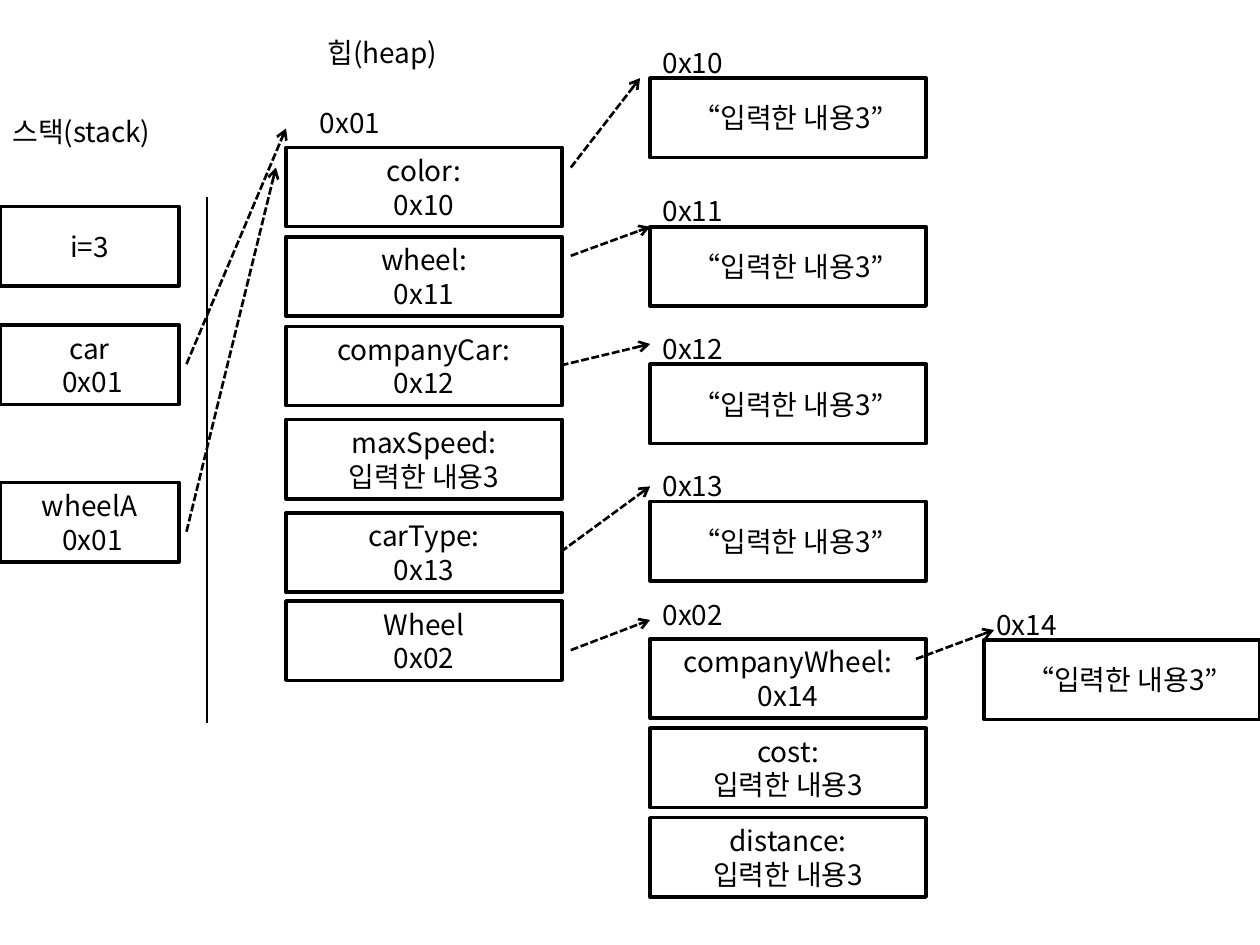
from dataclasses import dataclass

from pptx import Presentation
from pptx.dml.color import RGBColor
from pptx.enum import dml, shapes, text
from pptx.oxml import ns, xmlchemy
from pptx.util import Inches, Pt


@dataclass(frozen=True)
class Theme:
    ink: RGBColor = RGBColor(0, 0, 0)
    paper: RGBColor = RGBColor(255, 255, 255)
    font: str = "Noto Sans CJK KR"
    text_size: int = 16
    box_line: float = 2
    divider_line: float = 1.25
    arrow_line: float = 1.5


THEME = Theme()
CELL_HEIGHT = 0.63
STACK_WIDTH, HEAP_WIDTH = 1.42, 2.19
LABEL_WIDTH, LABEL_HEIGHT = 1.59, 0.37
ADDRESS_RISE = 0.31  # from the top of a string cell up to its address
INPUT = "입력한 내용3"


def write(frame, lines, alignment):
    for index, line in enumerate(lines):
        paragraph = frame.paragraphs[0] if index == 0 else frame.add_paragraph()
        paragraph.text = line
        paragraph.alignment = alignment
        font = paragraph.font
        font.size = Pt(THEME.text_size)
        font.color.rgb = THEME.ink
        font.name = THEME.font
        # Hangul takes its typeface from the East Asian slot
        east_asian = xmlchemy.OxmlElement("a:ea")
        east_asian.set("typeface", THEME.font)
        paragraph._p.pPr.find(ns.qn("a:defRPr")).append(east_asian)


def add_label(slide, left, top, caption):
    label = slide.shapes.add_textbox(
        Inches(left), Inches(top), Inches(LABEL_WIDTH), Inches(LABEL_HEIGHT))
    frame = label.text_frame
    frame.word_wrap = True
    frame.auto_size = text.MSO_AUTO_SIZE.SHAPE_TO_FIT_TEXT
    write(frame, [caption], text.PP_ALIGN.LEFT)


def add_cell(slide, left, top, width, *lines):
    cell = slide.shapes.add_shape(
        shapes.MSO_SHAPE.RECTANGLE,
        Inches(left), Inches(top), Inches(width), Inches(CELL_HEIGHT))
    cell.shadow.inherit = False
    cell.fill.solid()
    cell.fill.fore_color.rgb = THEME.paper
    cell.line.color.rgb = THEME.ink
    cell.line.width = Pt(THEME.box_line)
    cell.text_frame.word_wrap = True
    cell.text_frame.vertical_anchor = text.MSO_ANCHOR.MIDDLE
    write(cell.text_frame, lines, text.PP_ALIGN.CENTER)


def add_line(slide, start, end, width):
    line = slide.shapes.add_connector(
        shapes.MSO_CONNECTOR.STRAIGHT, *map(Inches, (*start, *end)))
    line.line.color.rgb = THEME.ink
    line.line.width = Pt(width)
    line._element.spPr.append(xmlchemy.OxmlElement("a:effectLst"))
    return line


def add_arrow(slide, start, end):
    arrow = add_line(slide, start, end, THEME.arrow_line)
    arrow.line.dash_style = dml.MSO_LINE.SQUARE_DOT
    head = xmlchemy.OxmlElement("a:tailEnd")
    head.set("type", "arrow")
    arrow.line._get_or_add_ln().append(head)


def add_stack(slide, left, top):
    """Local variables, with the divider on their right."""
    add_label(slide, left, top, "스택(stack)")
    variables = [
        (0.78, ["i=3"]),
        (1.72, ["car", " 0x01"]),
        (2.97, ["wheelA", " 0x01"]),
    ]
    for offset, lines in variables:
        add_cell(slide, left, top + offset, STACK_WIDTH, *lines)
    add_line(slide, (left + 1.64, top + 0.7), (left + 1.64, top + 4.88),
             THEME.divider_line)


def add_car(slide, left, top):
    """The car object and its fields; top is that of the first field."""
    add_label(slide, left + 0.23, top - 0.94, "힙(heap)")
    add_label(slide, left + 0.17, top - 0.38, "0x01")
    fields = [
        (0, "color:", "0x10"),
        (0.71, "wheel:", "0x11"),
        (1.42, "companyCar:", "0x12"),
        (2.16, "maxSpeed:", INPUT),
        (2.9, "carType:", "0x13"),
        (3.6, "Wheel", "0x02"),
    ]
    for offset, name, value in fields:
        add_cell(slide, left, top + offset, HEAP_WIDTH, name, value)


def add_string(slide, left, top, address):
    add_label(slide, left, top - ADDRESS_RISE, address)
    add_cell(slide, left, top, HEAP_WIDTH, f"“{INPUT}”")


def add_wheel(slide, left, top):
    """The wheel object; its fields are evenly spaced."""
    add_label(slide, left, top - 0.38, "0x02")
    fields = [("companyWheel:", "0x14"), ("cost:", INPUT), ("distance:", INPUT)]
    for row, lines in enumerate(fields):
        add_cell(slide, left, top + row * 0.71, HEAP_WIDTH, *lines)


def add_references(slide):
    references = [
        ((1.48, 2.89), (2.27, 1.02)),  # car
        ((1.48, 4.22), (2.19, 1.33)),  # wheelA
        ((4.53, 1.33), (5.08, 0.62)),  # color
        ((4.53, 2.03), (5.16, 1.8)),   # wheel
        ((4.45, 2.9), (5.16, 2.73)),   # companyCar
        ((4.45, 4.38), (5.16, 3.86)),  # carType
        ((4.53, 5.16), (5.16, 4.92)),  # Wheel
        ((7.27, 5.23), (7.89, 5)),     # companyWheel
    ]
    for start, end in references:
        add_arrow(slide, start, end)


def main():
    presentation = Presentation()
    presentation.slide_width, presentation.slide_height = Inches(10), Inches(7.5)
    slide = presentation.slides.add_slide(presentation.slide_layouts[6])

    # Stack and the car it points to
    add_stack(slide, 0, 0.86)
    add_car(slide, 2.27, 1.17)

    # Objects that the car's fields point to
    strings = [
        (5.16, 0.62, "0x10"),
        (5.16, 1.8, "0x11"),
        (5.16, 2.89, "0x12"),
        (5.16, 3.98, "0x13"),
        (7.81, 5.08, "0x14"),
    ]
    for left, top, address in strings:
        add_string(slide, left, top, address)
    add_wheel(slide, 5.16, 5.07)

    # References lie over the cells
    add_references(slide)
    presentation.save("out.pptx")


if __name__ == "__main__":
    main()
